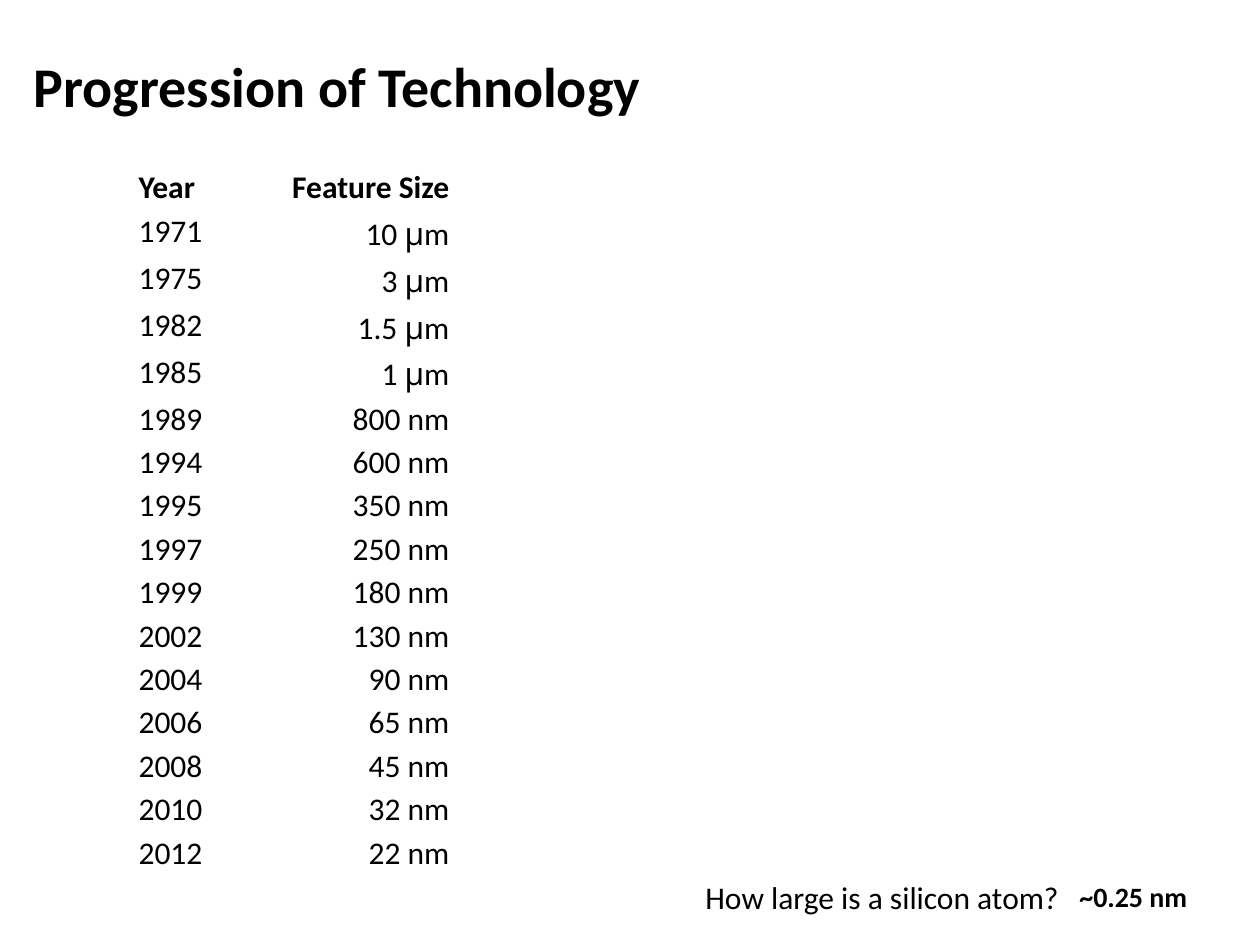
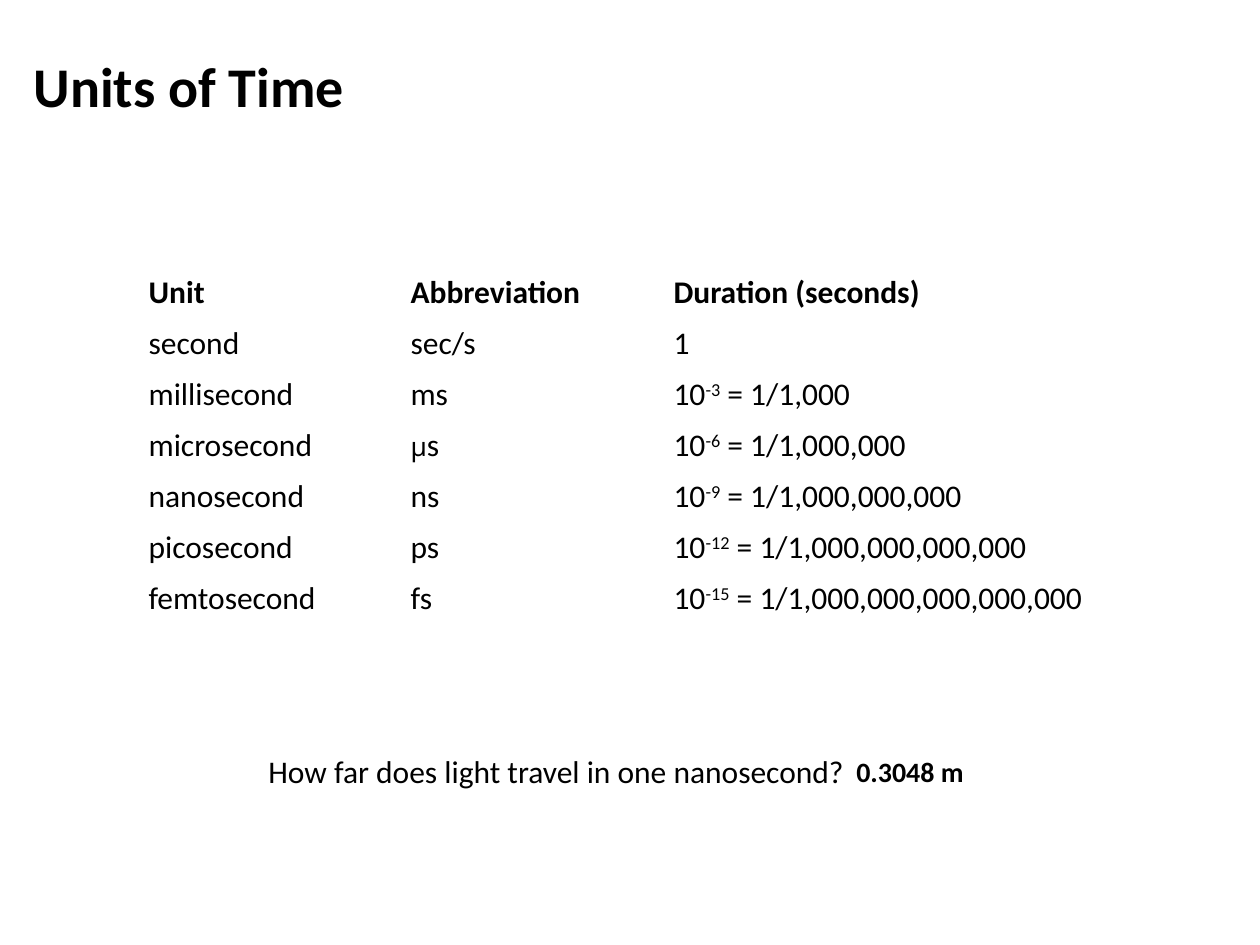
from lxml import etree
from pptx import Presentation
from pptx.dml.color import RGBColor
from pptx.enum.text import MSO_ANCHOR, MSO_AUTO_SIZE, PP_ALIGN
from pptx.oxml.ns import qn
from pptx.util import Pt

PX = 914400 // 126
BLACK = RGBColor(0x00, 0x00, 0x00)
WHITE = RGBColor(0xFF, 0xFF, 0xFF)
TEXT_FONT, GREEK_FONT = "Calibri", "Noto Sans"
LEFT, RIGHT = PP_ALIGN.LEFT, PP_ALIGN.RIGHT

MICRO_SIZES = [("1971", "10"), ("1975", "3"), ("1982", "1.5"), ("1985", "1")]
NANO_SIZES = [
    ("1989", 800), ("1994", 600), ("1995", 350), ("1997", 250),
    ("1999", 180), ("2002", 130), ("2004", 90), ("2006", 65),
    ("2008", 45), ("2010", 32), ("2012", 22),
]
SMALL_UNITS = [
    ("millisecond", ["ms"]), ("microsecond", ["μ", "s"]), ("nanosecond", ["ns"]),
    ("picosecond", ["ps"]), ("femtosecond", ["fs"]),
]

# Each cell is a list of spans; Greek and exponent spans get their own format.
feature_rows = [[["Year"], ["Feature Size"]]]
feature_rows += [[[year], [f"{size} ", "μ", "m"]] for year, size in MICRO_SIZES]
feature_rows += [[[year], [f"{size} nm"]] for year, size in NANO_SIZES]

unit_rows = [
    [["Unit"], ["Abbreviation"], ["Duration (seconds)"]],
    [["second"], ["sec/s"], ["1"]],
]
for step, (unit, abbreviation) in enumerate(SMALL_UNITS, start=1):
    duration = ["10", f"-{3 * step}", " = 1/1" + ",000" * step]
    unit_rows.append([[unit], abbreviation, duration])

PAGES = [
    dict(title="Progression of Technology", rows=feature_rows, at=(126, 168),
         columns=(101, 235), aligns=(LEFT, RIGHT), line_spacing=0.8, greek_size=18,
         answer=("~0.25 nm", 1067, 873, 157),
         question=("How large is a silicon atom?", 693, 872, 386)),
    dict(title="Units of Time", rows=unit_rows, at=(136, 267),
         columns=(262, 263, 473), aligns=(LEFT, LEFT, LEFT), line_spacing=1.0, greek_size=15,
         answer=("0.3048 m", 844, 748, 154),
         question=("How far does light travel in one nanosecond?", 256, 746, 607)),
]
ROW_HEIGHT = 25


def style(para, size, bold):
    para.font.name = TEXT_FONT
    para.font.size = Pt(size)
    para.font.bold = bold
    para.font.color.rgb = BLACK


def set_borders(cell, widths):
    """Draw white cell borders, given widths in points for left, right, top, bottom."""
    properties = cell._tc.get_or_add_tcPr()
    for index, (side, width) in enumerate(zip("LRTB", widths)):
        line = etree.Element(qn(f"a:ln{side}"), w=str(Pt(width)))
        fill = etree.SubElement(line, qn("a:solidFill"))
        etree.SubElement(fill, qn("a:srgbClr"), val=str(WHITE))
        properties.insert(index, line)


deck = Presentation()
deck.slide_width, deck.slide_height = 1260 * PX, 945 * PX
title_only = deck.slide_layouts[5]
layout_title = title_only.placeholders[0]
layout_title.left, layout_title.top = 21 * PX, 15 * PX
layout_title.width, layout_title.height = 1197 * PX, 141 * PX

for content in PAGES:
    page = deck.slides.add_slide(title_only)
    page.background.fill.solid()
    page.background.fill.fore_color.rgb = WHITE

    title = page.shapes.title
    title.text_frame.text = content["title"]
    title.text_frame.vertical_anchor = MSO_ANCHOR.MIDDLE
    heading = title.text_frame.paragraphs[0]
    heading.alignment = LEFT
    style(heading, 32, True)

    rows, columns = content["rows"], content["columns"]
    last_row, last_column = len(rows) - 1, len(columns) - 1
    left, top = content["at"]
    table = page.shapes.add_table(
        len(rows), len(columns), left * PX, top * PX,
        sum(columns) * PX, len(rows) * ROW_HEIGHT * PX).table
    table.horz_banding = False
    table.first_row = False
    for column, width in zip(table.columns, columns):
        column.width = width * PX

    for r, row in enumerate(rows):
        for c, spans in enumerate(row):
            cell = table.cell(r, c)
            cell.fill.background()
            outer_sides = (c == 0, c == last_column, r == 0, r == last_row)
            set_borders(cell, [2.25 if outer else 1 for outer in outer_sides])
            para = cell.text_frame.paragraphs[0]
            para.alignment = content["aligns"][c]
            para.line_spacing = content["line_spacing"]
            style(para, 18, r == 0)
            for text in spans:
                span = para.add_run()
                span.text = text
                if text == "μ":
                    span.font.name = GREEK_FONT
                    span.font.size = Pt(content["greek_size"])
                elif text.startswith("-"):
                    span._r.get_or_add_rPr().set("baseline", "30000")

    for part, size, height, bold in (("answer", 16, 47, True), ("question", 18, 50, False)):
        text, left, top, width = content[part]
        box = page.shapes.add_textbox(left * PX, top * PX, width * PX, height * PX)
        box.text_frame.word_wrap = False
        box.text_frame.auto_size = MSO_AUTO_SIZE.SHAPE_TO_FIT_TEXT
        box.text_frame.text = text
        style(box.text_frame.paragraphs[0], size, bold)

deck.save("out.pptx")
